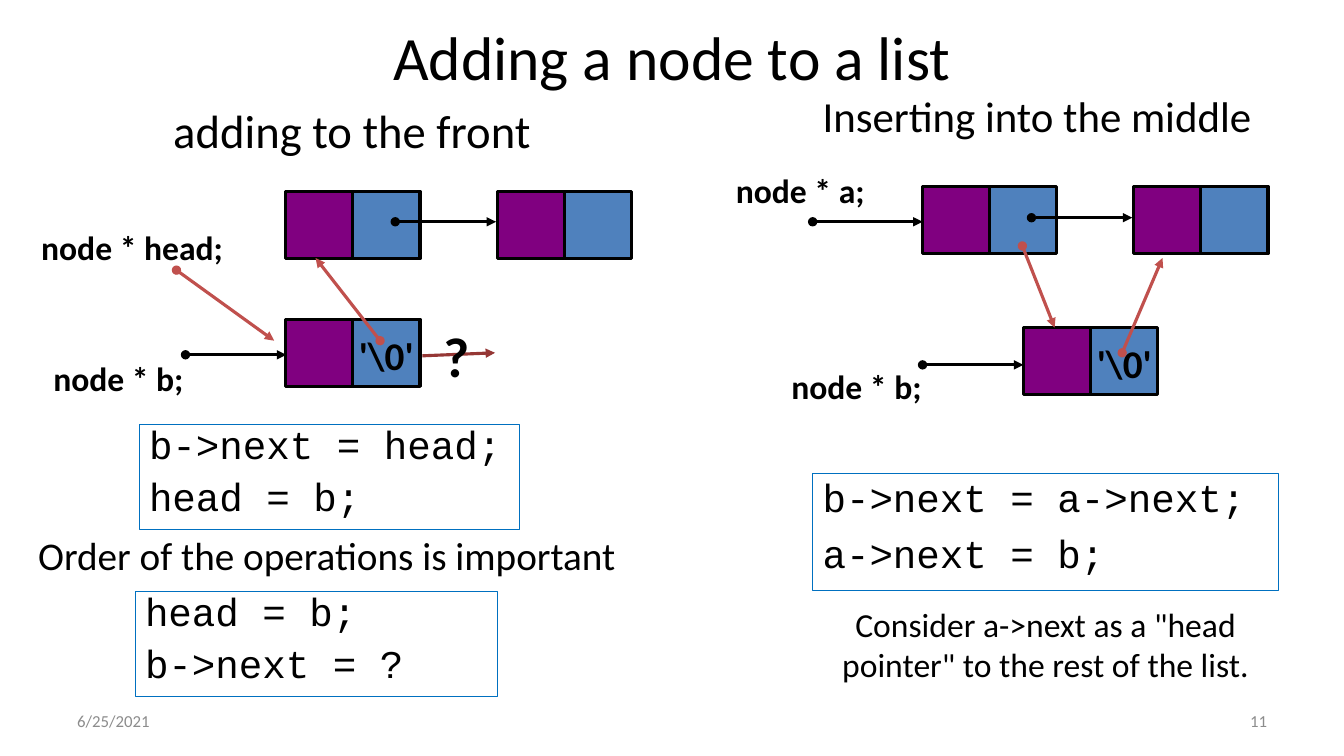
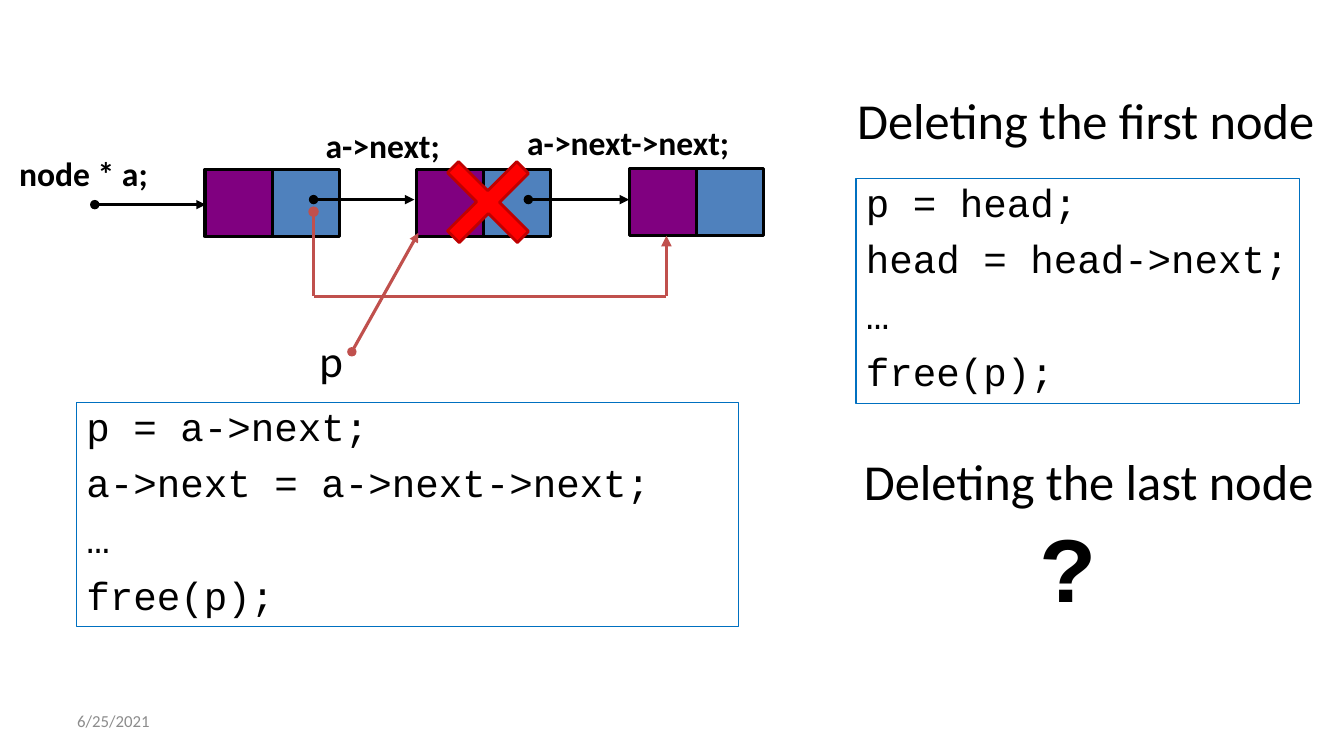
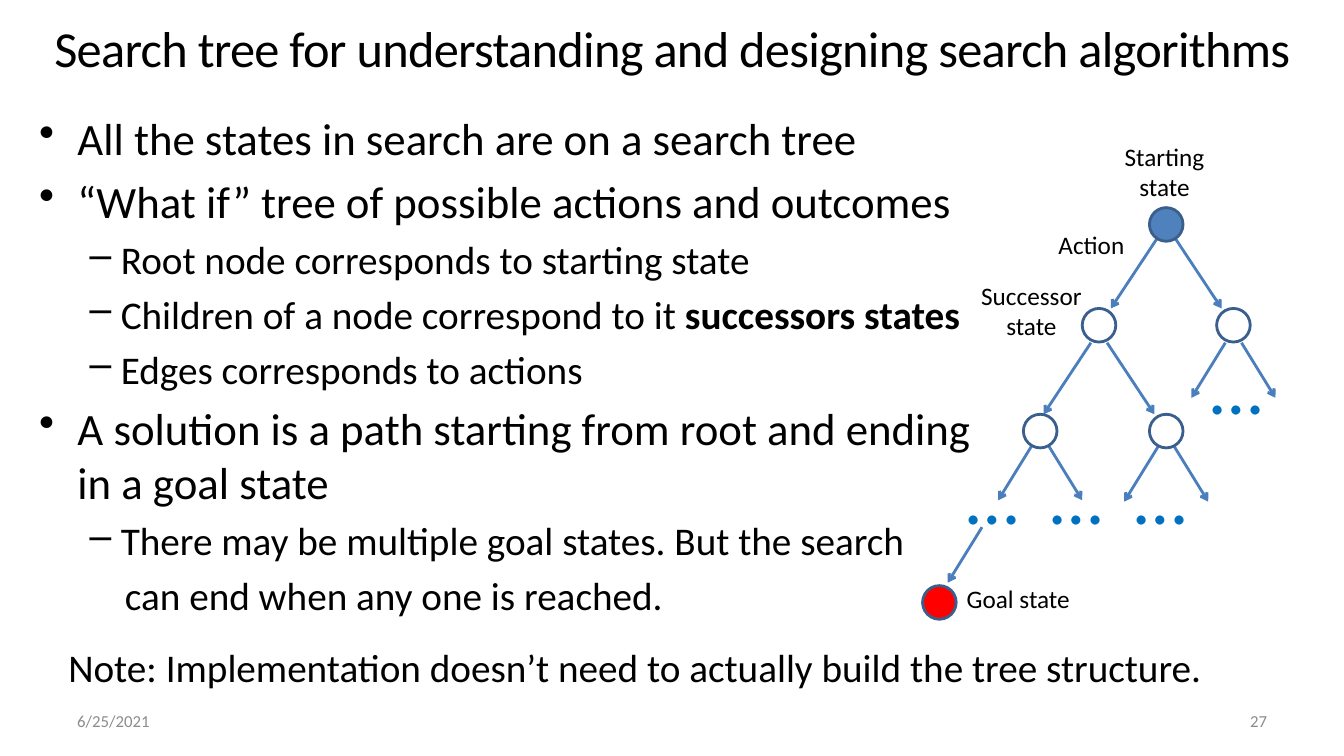
from lxml import etree
from pptx import Presentation
from pptx.dml.color import RGBColor
from pptx.enum.shapes import MSO_CONNECTOR, MSO_SHAPE
from pptx.enum.text import MSO_ANCHOR, MSO_AUTO_SIZE, PP_ALIGN
from pptx.oxml.ns import qn
from pptx.util import Inches, Pt

LEFT, CENTER, RIGHT = PP_ALIGN.LEFT, PP_ALIGN.CENTER, PP_ALIGN.RIGHT
TOP, MIDDLE = MSO_ANCHOR.TOP, MSO_ANCHOR.MIDDLE
RECTANGLE, OVAL, CROSS = MSO_SHAPE.RECTANGLE, MSO_SHAPE.OVAL, MSO_SHAPE.CROSS
STRAIGHT = MSO_CONNECTOR.STRAIGHT
FIXED_SIZE = MSO_AUTO_SIZE.NONE

BODY_FONT, CODE_FONT = "Calibri", "Courier New"
BLACK, WHITE, GRAY = "000000", "FFFFFF", "8C8C8C"
BLUE, PURPLE, BRICK, DARK_RED = "4F81BD", "800080", "C0504D", "953735"
BRIGHT_BLUE, TREE_OUTLINE, TREE_EDGE = "0070C0", "3A5F8C", "4B7EBC"
RED, CROSS_OUTLINE = "FF0000", "C00000"

# The grid has 40 columns and 22.5 rows; all positions are in grid units
presentation = Presentation()
presentation.slide_width = Inches(13.33)
presentation.slide_height = Inches(7.5)
UNIT = presentation.slide_height / 22.5
CELL = 2
CIRCLE = 1


def add_text(slide, box, lines, size, font=BODY_FONT, color=BLACK, bold=False,
             align=LEFT, anchor=TOP, spacing=1.0, before=0, outline=None):
    shape = slide.shapes.add_textbox(*[round(length * UNIT) for length in box])
    if outline:
        shape.line.color.rgb = RGBColor.from_string(outline)
        shape.line.width = Pt(0.75)
    frame = shape.text_frame
    frame.word_wrap = True
    frame.vertical_anchor = anchor
    for index, line in enumerate(lines):
        paragraph = frame.add_paragraph() if index else frame.paragraphs[0]
        paragraph.text = line
        paragraph.alignment = align
        paragraph.line_spacing = spacing
        paragraph.space_before = Pt(before)
        paragraph.font.name = font
        paragraph.font.size = Pt(size)
        paragraph.font.bold = bold
        paragraph.font.color.rgb = RGBColor.from_string(color)
    return frame


def add_line(slide, points, color=BLACK, width=2.25, head="oval", tail="triangle"):
    line = slide.shapes.add_connector(
        STRAIGHT, *[round(length * UNIT) for length in points])
    line.line.color.rgb = RGBColor.from_string(color)
    line.line.width = Pt(width)
    properties = line._element.spPr
    outline = properties.find(qn("a:ln"))
    for tag, end in (("a:headEnd", head), ("a:tailEnd", tail)):
        etree.SubElement(outline, qn(tag), type=end)
    etree.SubElement(properties, qn("a:effectLst"))


# Titles, dates and slide numbers
titles = [
    ("Adding a node to a list", (2.75, 0.15, 34.5, 3.05), 44, "11"),
    ("Deleting the first node", (25.05, 2.37, 14.52, 2.34), 36, None),
    ("Search tree for understanding and designing search algorithms",
     (0, 0.12, 40, 2.6), 36, "27"),
]
slides = []
for text, box, size, number in titles:
    slide = presentation.slides.add_slide(presentation.slide_layouts[5])
    slides.append(slide)
    title = slide.shapes.title
    title.left, title.top, title.width, title.height = [
        round(length * UNIT) for length in box]
    title.text_frame.text = text
    title.text_frame.auto_size = FIXED_SIZE
    title.text_frame.vertical_anchor = MIDDLE
    paragraph = title.text_frame.paragraphs[0]
    paragraph.alignment = CENTER
    paragraph.font.name = BODY_FONT
    paragraph.font.size = Pt(size)
    paragraph.font.color.rgb = RGBColor.from_string(BLACK)
    add_text(slide, (2, 20.85, 9.33, 1.2), ["6/25/2021"], 12, color=GRAY, anchor=MIDDLE)
    if number:
        add_text(slide, (28.67, 20.85, 9.33, 1.2), [number], 12, color=GRAY,
                 align=RIGHT, anchor=MIDDLE)
adding, deleting, searching = slides
searching.shapes.title.text_frame.paragraphs[0].runs[0]._r.get_or_add_rPr().set("spc", "-50")

# List nodes: a purple data cell and a blue pointer cell
list_nodes = [
    (adding, 8.5, 5.7), (adding, 14.8, 5.7), (adding, 8.5, 9.5),
    (adding, 27.45, 5.55), (adding, 33.73, 5.55), (adding, 30.45, 9.75),
    (deleting, 6.1, 5.04), (deleting, 12.38, 5.04), (deleting, 18.73, 5.02),
]
for slide, left, top in list_nodes:
    for offset, fill in ((CELL, BLUE), (0, PURPLE)):
        cell = slide.shapes.add_shape(
            RECTANGLE, *[round(length * UNIT) for length in (left + offset, top, CELL, CELL)])
        cell.shadow.inherit = False
        cell.fill.solid()
        cell.fill.fore_color.rgb = RGBColor.from_string(fill)
        cell.line.color.rgb = RGBColor.from_string(BLACK)
        cell.line.width = Pt(2.25)

# Bold labels beside the nodes
node_labels = [
    (adding, 0.93, 6.6, "node * head;", 24), (adding, 1.29, 10.5, "node * b;", 24),
    (adding, 21.6, 4.92, "node * a;", 24), (adding, 23.25, 10.74, "node * b;", 24),
    (adding, 10.38, 9.72, "'\\0'", 28), (adding, 32.34, 9.96, "'\\0'", 28),
    (deleting, 0.27, 4.41, "node * a;", 24), (deleting, 9.39, 3.57, "a->next;", 24),
    (deleting, 15.39, 3.48, "a->next->next;", 24),
]
for slide, left, top, text, size in node_labels:
    add_text(slide, (left, top, 8, 1.5), [text], size, bold=True)

# Code boxes
code_boxes = [
    (adding, (4.14, 12.63, 11.31, 3.12), 0.8, BRIGHT_BLUE, ["b->next = head;", "head = b;"]),
    (adding, (4.02, 17.61, 10.77, 3.12), 0.8, BRIGHT_BLUE, ["head = b;", "b->next = ?"]),
    (adding, (24.18, 14.1, 13.86, 3.48), 0.9, BRIGHT_BLUE, ["b->next = a->next;", "a->next = b;"]),
    (deleting, (2.28, 11.97, 19.71, 6.69), 0.9, BRIGHT_BLUE,
     ["p = a->next;", "a->next = a->next->next;", "…", "free(p);"]),
    (deleting, (25.47, 5.31, 13.2, 6.69), 0.9, BRIGHT_BLUE,
     ["p = head;", "head = head->next;", "…", "free(p);"]),
]
for slide, box, spacing, outline, lines in code_boxes:
    add_text(slide, box, lines, 28, font=CODE_FONT, spacing=spacing, before=10, outline=outline)

# Slide 1: headings, remarks and pointers
add_text(adding, (4.86, 2.88, 11.91, 2.04), ["adding to the front"], 33.3, before=6.6)
add_text(adding, (24.18, 2.82, 14.16, 2.04), ["Inserting into the middle"], 30.6,
         spacing=0.8, before=10)
add_text(adding, (0.84, 15.81, 18.15, 1.65), ["Order of the operations is important"], 28,
         spacing=0.9, before=10)
add_text(adding, (24.48, 17.82, 13.26, 2.73),
         ['Consider a->next as a "head pointer" to the rest of the list.'], 24, align=CENTER)
adding_pointers = [
    ((5.52, 10.56, 8.52, 10.56), BLACK), ((11.76, 6.6, 14.76, 6.6), BLACK),
    ((24.18, 6.6, 27.45, 6.6), BLACK), ((30.69, 6.48, 33.69, 6.48), BLACK),
    ((27.45, 10.86, 30.45, 10.86), BLACK),
    ((11.31, 10.14, 9.39, 7.68), BRICK), ((5.25, 8.04, 8.16, 10.14), BRICK),
    ((33.39, 10.5, 34.59, 7.68), BRICK), ((30.42, 7.32, 31.38, 9.75), BRICK),
]
for points, color in adding_pointers:
    add_line(adding, points, color)
add_line(adding, (12.57, 10.59, 14.73, 10.5), DARK_RED, head="none")
add_text(adding, (12.9, 9.42, 2, 2.31), ["?"], 40, bold=True)

# Slide 2: crossed-out node, pointers and the open question
cross = deleting.shapes.add_shape(
    CROSS, *[round(length * UNIT) for length in (13.05, 4.56, 2.94, 2.91)])
cross.shadow.inherit = False
cross.adjustments[0] = 0.42
cross.rotation = 45
cross.fill.solid()
cross.fill.fore_color.rgb = RGBColor.from_string(RED)
cross.line.color.rgb = RGBColor.from_string(CROSS_OUTLINE)
cross.line.width = Pt(2)
deleting_pointers = [
    ((2.82, 6.09, 6.12, 6.09), BLACK, 2.25, "oval", "triangle"),
    ((9.33, 5.94, 12.33, 5.94), BLACK, 2.25, "oval", "triangle"),
    ((15.72, 5.94, 18.72, 5.94), BLACK, 2.25, "oval", "triangle"),
    ((10.47, 10.47, 12.45, 6.93), BRICK, 2.25, "oval", "triangle"),
    ((9.33, 6.3, 9.33, 8.82), BRICK, 2.5, "oval", "none"),
    ((9.33, 8.82, 19.83, 8.82), BRICK, 2.5, "none", "none"),
    ((19.83, 8.82, 19.83, 7.02), BRICK, 2.5, "none", "triangle"),
]
for pointer in deleting_pointers:
    add_line(deleting, *pointer)
add_text(deleting, (9.21, 9.75, 2, 1.92), ["p"], 32)
add_text(deleting, (25.41, 13.23, 14.52, 2.34), ["Deleting the last node"], 36,
         anchor=MIDDLE, spacing=0.9)
add_text(deleting, (30.66, 15.66, 3.03, 3.21), ["?"], 66.6, font=CODE_FONT, bold=True,
         spacing=0.8, before=10)

# Slide 3: bullet list, each line with its bullet, left margin, hanging indent and size
bullet_lines = [
    ("All the states in search are on a search tree", "•", 0.38, 0.38, 32),
    ("“What if” tree of possible actions and outcomes", "•", 0.38, 0.38, 32),
    ("Root node corresponds to starting state", "–", 0.81, 0.31, 28),
    ("Children of a node correspond to it ", "–", 0.81, 0.31, 28),
    ("Edges corresponds to actions", "–", 0.81, 0.31, 28),
    ("A solution is a path starting from root and ending in a goal state", "•", 0.38, 0.38, 32),
    ("There may be multiple goal states. But the search", "–", 0.81, 0.31, 28),
    ("can end when any one is reached.", None, 0.85, 0, 28),
]
bullet_frame = add_text(searching, (0.87, 3.15, 28.53, 15.84),
                        [line[0] for line in bullet_lines], 32)
for paragraph, (text, bullet, margin, hanging, size) in zip(bullet_frame.paragraphs, bullet_lines):
    paragraph.font.size = Pt(size)
    paragraph.space_before = Pt(size * 0.2)
    properties = paragraph._p.get_or_add_pPr()
    properties.set("marL", str(Inches(margin)))
    properties.set("indent", str(-Inches(hanging)))
    if bullet:
        mark = etree.Element(qn("a:buChar"), char=bullet)
        properties.find(qn("a:defRPr")).addprevious(mark)
successors = bullet_frame.paragraphs[3].add_run()
successors.text = "successors states"
successors.font.bold = True
add_text(searching, (1.74, 18.99, 36.21, 1.71),
         ["Note: Implementation doesn’t need to actually build the tree structure."], 28)

# Tree: ellipses for the unexplored parts
for left, top in [(28.47 + 2.5 * step, 13.2) for step in range(3)] + [(35.73, 9.93)]:
    add_text(searching, (left, top, 3, 3.03), ["…"], 54, color=BRIGHT_BLUE)

# Tree: two mirrored edges below each parent, given by its centre, start row, reach and drop
LONG, SHORT = (1.65, 2.13), (1.25, 1.64)
parents = [(34.7, 7.05, LONG), (32.7, 10.2, LONG), (36.7, 10.2, SHORT),
           (30.95, 13.25, SHORT), (34.7, 13.29, SHORT)]
edges = [(center + side * 0.24, top, center + side * reach, top + drop)
         for center, top, (reach, drop) in parents for side in (-1, 1)]
for edge in edges + [(29.22, 15.69, 28.2, 17.34)]:
    add_line(searching, edge, TREE_EDGE, 2, head="none", tail="arrow")

# Tree: states
states = [(34.2, 6.18, BLUE), (32.2, 9.18, WHITE), (36.2, 9.18, WHITE),
          (30.45, 12.33, WHITE), (34.2, 12.33, WHITE), (27.45, 17.43, RED)]
for left, top, fill in states:
    state = searching.shapes.add_shape(
        OVAL, *[round(length * UNIT) for length in (left, top, CIRCLE, CIRCLE)])
    state.shadow.inherit = False
    state.fill.solid()
    state.fill.fore_color.rgb = RGBColor.from_string(fill)
    state.line.color.rgb = RGBColor.from_string(TREE_OUTLINE)
    state.line.width = Pt(2)

# Tree: labels
tree_labels = [
    ((32.85, 4.05, 3.6, 2.13), "Starting state", CENTER),
    ((28.68, 8.19, 4.02, 2.13), "Successor state", CENTER),
    ((31.2, 6.69, 3, 1.2), "Action", LEFT),
    ((28.47, 17.22, 4.5, 1.2), "Goal state", LEFT),
]
for box, text, align in tree_labels:
    add_text(searching, box, [text], 18, align=align)

presentation.save("out.pptx")
